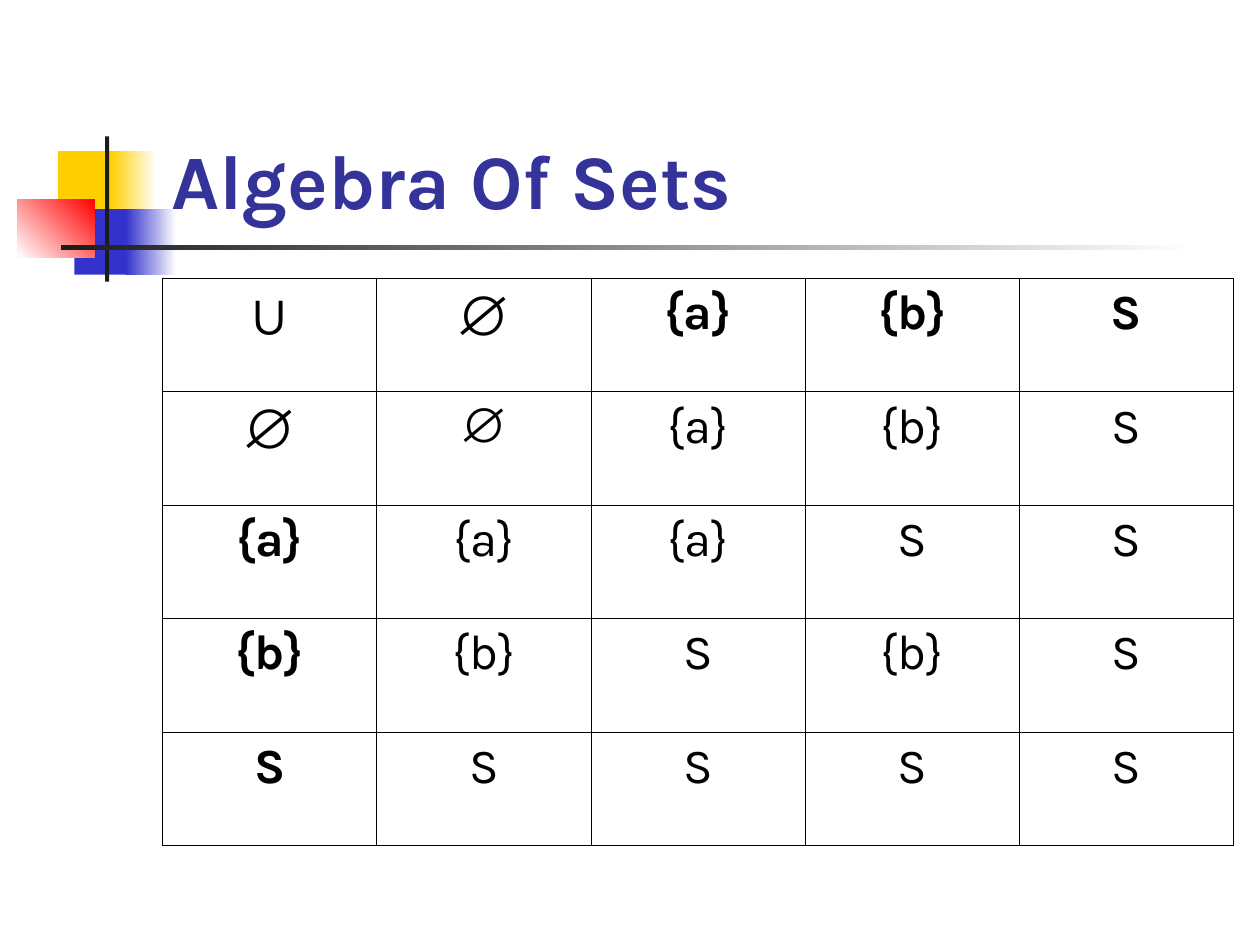
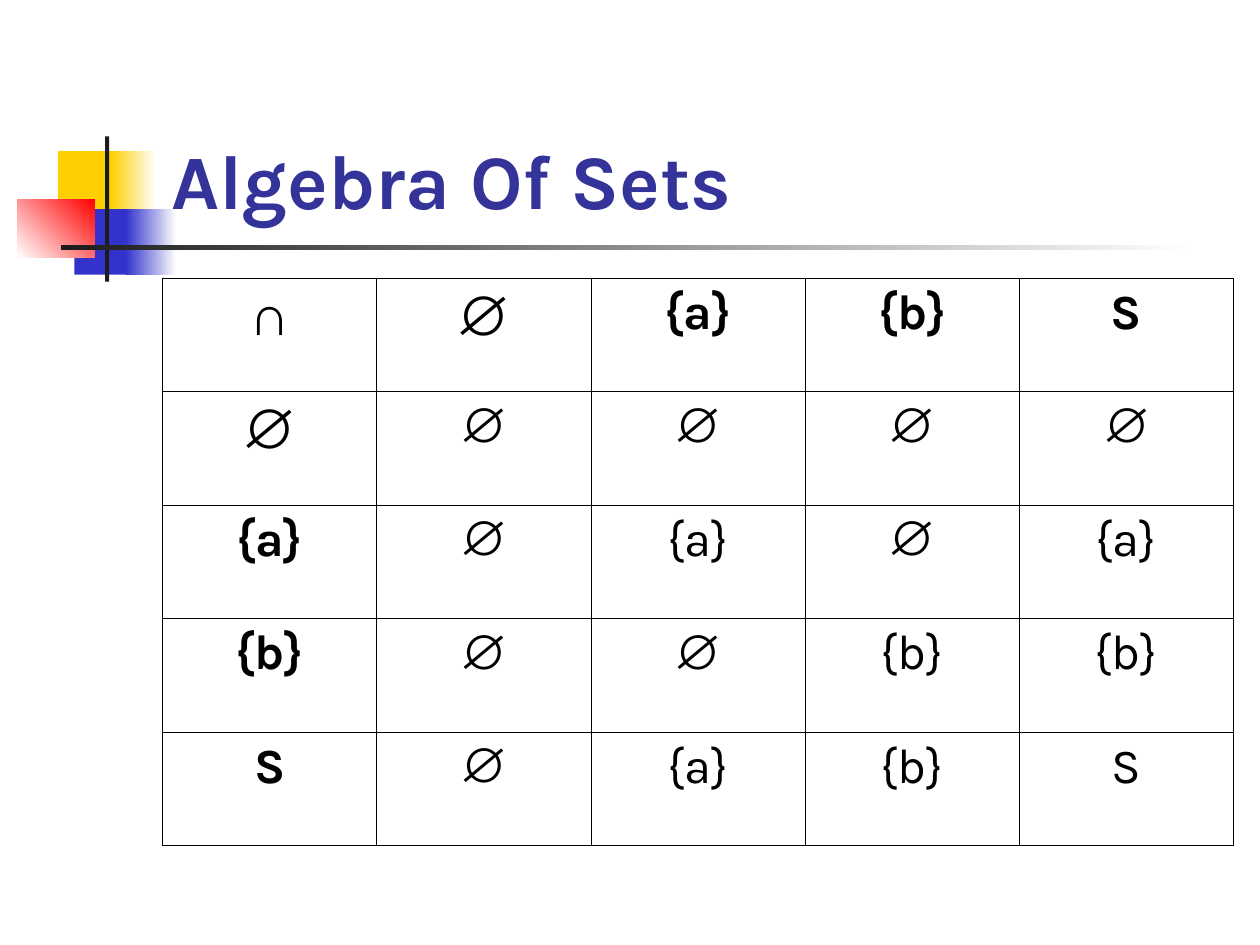
from dataclasses import dataclass

from pptx import Presentation
from pptx.dml.color import RGBColor
from pptx.enum.shapes import MSO_SHAPE
from pptx.enum.text import MSO_ANCHOR, PP_ALIGN
from pptx.oxml import parse_xml
from pptx.oxml.ns import nsdecls
from pptx.util import Pt


@dataclass(frozen=True)
class Theme:
    text_font: str = "Karla"
    symbol_font: str = "Arial"
    title_size: float = 44
    large_size: float = 32
    cell_size: float = 28
    title: str = "333399"
    ink: str = "000000"
    yellow: str = "FFCF01"
    blue: str = "3333CC"
    red: str = "FF0000"
    bar: str = "1C1C1C"
    white: str = "FFFFFF"
    outer_border: float = 1.08
    inner_border: float = 0.45


@dataclass(frozen=True)
class Box:
    left: float
    top: float
    width: float
    height: float

    def inside(self, left, top, width, height):
        return Box(self.left + left, self.top + top, width, height)

    def lengths(self):
        return Pt(self.left), Pt(self.top), Pt(self.width), Pt(self.height)


THEME = Theme()
PAGE_WIDTH, PAGE_HEIGHT = 720, 540
EMBLEM_BOX = Box(10, 78, 673, 83)
TITLE_BOX = Box(90.7, 16.6, 613.4, 115.2)
TABLE_BOX = Box(92.9, 159.1, 612, 324)

TITLE = "Algebra Of Sets"
SYMBOLS = {"∪", "∩", "∅"}
UNION = [
    ["∪", "∅", "{a}", "{b}", "S"],
    ["∅", "∅", "{a}", "{b}", "S"],
    ["{a}", "{a}", "{a}", "S", "S"],
    ["{b}", "{b}", "S", "{b}", "S"],
    ["S", "S", "S", "S", "S"],
]
INTERSECTION = [
    ["∩", "∅", "{a}", "{b}", "S"],
    ["∅", "∅", "∅", "∅", "∅"],
    ["{a}", "∅", "{a}", "∅", "{a}"],
    ["{b}", "∅", "∅", "{b}", "{b}"],
    ["S", "∅", "{a}", "{b}", "S"],
]


def add_span(para, text, font, size, color, bold):
    span = para.add_run()
    span.text = text
    span.font.name = font
    span.font.size = Pt(size)
    span.font.bold = bold
    span.font.color.rgb = RGBColor.from_string(color)


def add_block(page, box, colors, angle=180):
    """Add a borderless rectangle: one colour is solid, two make a gradient."""
    block = page.shapes.add_shape(MSO_SHAPE.RECTANGLE, *box.lengths())
    block.shadow.inherit = False
    block.line.fill.background()
    if len(colors) == 1:
        block.fill.solid()
        block.fill.fore_color.rgb = RGBColor.from_string(colors[0])
        return
    block.fill.gradient()
    block.fill.gradient_angle = angle
    for stop, color in zip(block.fill.gradient_stops, colors):
        stop.color.rgb = RGBColor.from_string(color)


def add_emblem(page, box):
    """Add the overlapping colour blocks, the upright bar and the fading rule."""
    for color, left, top, solid_width, fade_left, fade_width in [
        (THEME.yellow, 23.1, 8.4, 34.6, 53.4, 25.9),
        (THEME.blue, 32.5, 41.5, 33.1, 62, 28.8),
    ]:
        add_block(page, box.inside(left, top, solid_width, 37.4), [color])
        add_block(page, box.inside(fade_left, top, fade_width, 37.4),
                  [THEME.white, color])
    add_block(page, box.inside(0, 35.8, 44.2, 33.1),
              [THEME.red, THEME.white], angle=225)
    add_block(page, box.inside(50, 0, 2.4, box.height), [THEME.bar])
    add_block(page, box.inside(24.8, 62.2, 648, 2.5), [THEME.white, THEME.bar])


def add_title(page, box, text):
    frame = page.shapes.add_textbox(*box.lengths()).text_frame
    frame.word_wrap = True
    frame.vertical_anchor = MSO_ANCHOR.BOTTOM
    add_span(frame.paragraphs[0], text, THEME.text_font, THEME.title_size,
             THEME.title, True)


def set_borders(cell, outer_sides):
    """Draw all four sides, with the heavier line on outer_sides."""
    properties = cell._tc.get_or_add_tcPr()
    for side in "LRTB":
        width = THEME.outer_border if side in outer_sides else THEME.inner_border
        properties.append(parse_xml(
            f'<a:ln{side} {nsdecls("a")} w="{int(Pt(width))}"><a:solidFill>'
            f'<a:srgbClr val="{THEME.ink}"/></a:solidFill></a:ln{side}>'))


def fill_cell(cell, text, is_heading):
    is_symbol = text in SYMBOLS
    is_large = is_symbol and is_heading
    para = cell.text_frame.paragraphs[0]
    para.alignment = PP_ALIGN.CENTER
    para.space_before = Pt(8 if is_large else 7)
    add_span(para, text,
             THEME.symbol_font if is_symbol else THEME.text_font,
             THEME.large_size if is_large else THEME.cell_size,
             THEME.ink, is_heading or is_symbol)


def add_operation_table(page, box, rows):
    row_count, column_count = len(rows), len(rows[0])
    table = page.shapes.add_table(row_count, column_count, *box.lengths()).table
    table.first_row = table.horz_banding = False
    for column in table.columns:
        column.width = Pt(box.width / column_count)
    for row in table.rows:
        row.height = Pt(box.height / row_count)
    for row_index, texts in enumerate(rows):
        for column_index, text in enumerate(texts):
            cell = table.cell(row_index, column_index)
            edges = {"L": column_index == 0, "R": column_index == column_count - 1,
                     "T": row_index == 0, "B": row_index == row_count - 1}
            set_borders(cell, [side for side, is_outer in edges.items() if is_outer])
            cell.fill.background()
            fill_cell(cell, text, row_index == 0 or column_index == 0)


def add_operation_page(deck, rows):
    page = deck.slides.add_slide(deck.slide_layouts[6])
    add_emblem(page, EMBLEM_BOX)
    add_title(page, TITLE_BOX, TITLE)
    add_operation_table(page, TABLE_BOX, rows)


def main():
    deck = Presentation()
    deck.slide_width, deck.slide_height = Pt(PAGE_WIDTH), Pt(PAGE_HEIGHT)
    for rows in (UNION, INTERSECTION):
        add_operation_page(deck, rows)
    deck.save("out.pptx")


if __name__ == "__main__":
    main()
